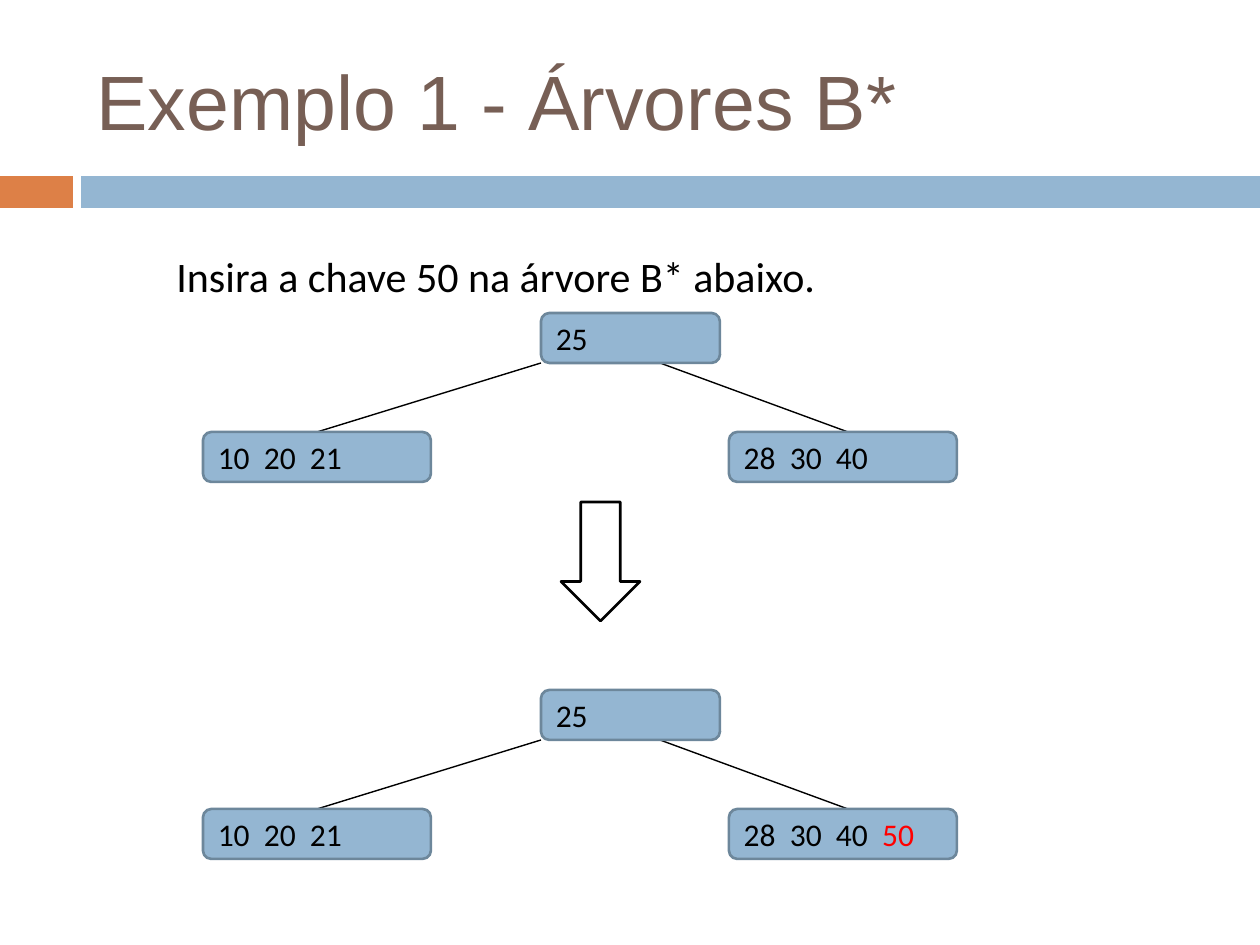
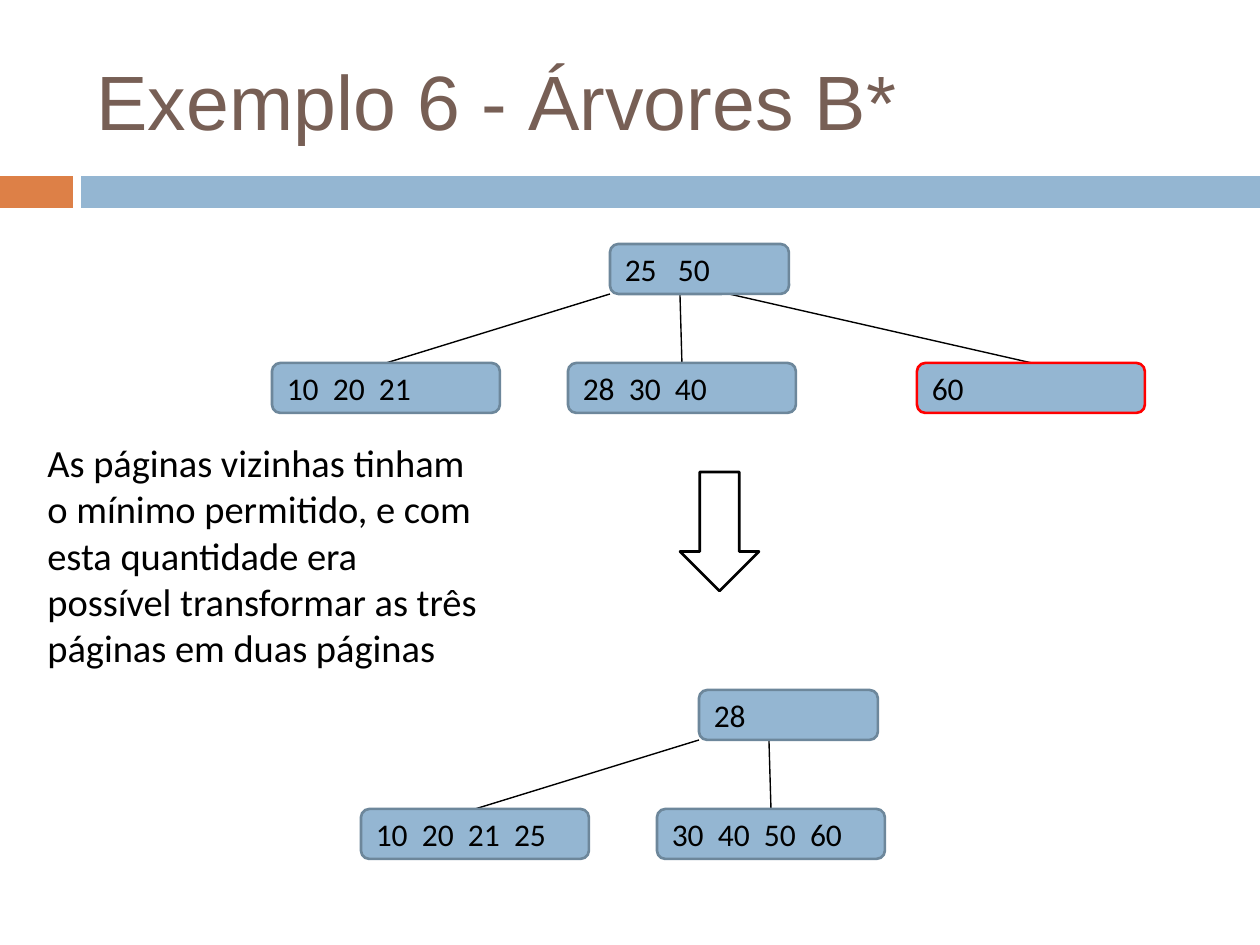
from lxml import etree
from pptx import Presentation
from pptx.dml.color import RGBColor
from pptx.enum import shapes, text
from pptx.oxml import ns
from pptx import util as u

SCALE = 914400 // 126
COLORS = {"orange": "DD8047", "blue": "94B6D2", "edge": "6D879B",
          "title": "775F55", "black": "000000", "red": "FF0000"}
BANDS = [(0, 73, "orange"), (81, 1179, "blue")]
ROOT_WIDTH, LEAF_WIDTH, NODE_HEIGHT, LEVEL_DROP = 179, 228, 50, 119
BRANCHES = {"left": (-338, 0, 114), "middle": (-42, 70, 114),
            "right": (188, 119, 119), "far": (307, 119, 115)}

SLIDES = [
    {"title": "Exemplo 1 - Árvores B*",
     "note": ("Insira a chave 50 na árvore B* abaixo.", (164, 244, 973, 63), 24),
     "arrow": (561, 502),
     "trees": [
         (541, 313, "25", [("left", "10  20  21", "", "edge"),
                           ("right", "28  30  40", "", "edge")]),
         (541, 690, "25", [("left", "10  20  21", "", "edge"),
                           ("right", "28  30  40  ", "50", "edge")])]},
    {"title": "Exemplo 6 - Árvores B*",
     "note": ("As páginas vizinhas tinham o mínimo permitido, e com esta "
              "quantidade era possível transformar as três páginas em duas páginas",
              (35, 433, 466, 246), 22),
     "arrow": (680, 472),
     "trees": [
         (610, 244, "25   50", [("left", "10  20  21", "", "edge"),
                                ("middle", "28  30  40", "", "edge"),
                                ("far", "60", "", "red")]),
         (699, 690, "28", [("left", "10  20  21  25", "", "edge"),
                           ("middle", "30  40  50  60", "", "edge")])]},
]


def style(span, size, color, font="Calibri"):
    span.font.size = u.Pt(size)
    span.font.name = font
    span.font.color.rgb = RGBColor.from_string(COLORS[color])


def add_box(page, kind, frame, fill, line):
    box = page.shapes.add_shape(kind, *[n * SCALE for n in frame])
    box.shadow.inherit = False
    if fill:
        box.fill.solid()
        box.fill.fore_color.rgb = RGBColor.from_string(COLORS[fill])
    else:
        box.fill.background()
    if line:
        box.line.color.rgb = RGBColor.from_string(COLORS[line])
        box.line.width = u.Pt(1.5)
    else:
        box.line.fill.background()
    return box


deck = Presentation()
deck.slide_width, deck.slide_height = 1260 * SCALE, 945 * SCALE
layout = deck.slide_layouts[5]
layout_title = layout.placeholders[0]
layout_title.left, layout_title.top = 84 * SCALE, 32 * SCALE
layout_title.width, layout_title.height = 1124 * SCALE, 136 * SCALE
pages = [deck.slides.add_slide(layout) for slide in SLIDES]

for left, width, color in BANDS:
    band = add_box(pages[0], shapes.MSO_SHAPE.RECTANGLE, (left, 176, width, 32), color, None)
    layout_title.element.addprevious(band.element)

for page, slide in zip(pages, SLIDES):
    title = page.shapes.title
    title.text_frame.text = slide["title"]
    title.text_frame.vertical_anchor = text.MSO_ANCHOR.MIDDLE
    paragraph = title.text_frame.paragraphs[0]
    paragraph.alignment = text.PP_ALIGN.LEFT
    style(paragraph.runs[0], 44, "title", "Arial")

    words, frame, size = slide["note"]
    note = page.shapes.add_textbox(*[n * SCALE for n in frame])
    note.text_frame.word_wrap = True
    note.text_frame.text = words
    style(note.text_frame.paragraphs[0].runs[0], size, "black")

    add_box(page, shapes.MSO_SHAPE.DOWN_ARROW, (*slide["arrow"], 79, 119), None, "black")

    for root_left, root_top, root_keys, leaves in slide["trees"]:
        leaf_top = root_top + LEVEL_DROP
        nodes = [(root_left, root_top, ROOT_WIDTH, root_keys, "", "edge")]
        for branch, keys, new_key, line in leaves:
            offset, start, end = BRANCHES[branch]
            leaf_left = root_left + offset
            nodes.append((leaf_left, leaf_top, LEAF_WIDTH, keys, new_key, line))
            ends = (leaf_left + end, leaf_top, root_left + start, root_top + NODE_HEIGHT)
            link = page.shapes.add_connector(shapes.MSO_CONNECTOR.STRAIGHT,
                                             *[n * SCALE for n in ends])
            link.line.color.rgb = RGBColor.from_string(COLORS["black"])
            link.line.width = u.Pt(0.79)
            etree.SubElement(link.element.spPr, ns.qn("a:effectLst"))

        for left, top, width, keys, new_key, line in nodes:
            node = add_box(page, shapes.MSO_SHAPE.ROUNDED_RECTANGLE,
                           (left, top, width, NODE_HEIGHT), "blue", line)
            node.text_frame.text = keys
            node.text_frame.vertical_anchor = text.MSO_ANCHOR.MIDDLE
            paragraph = node.text_frame.paragraphs[0]
            paragraph.alignment = text.PP_ALIGN.LEFT
            style(paragraph.runs[0], 18, "black")
            if new_key:
                span = paragraph.add_run()
                span.text = new_key
                style(span, 18, "red")

deck.save("out.pptx")
